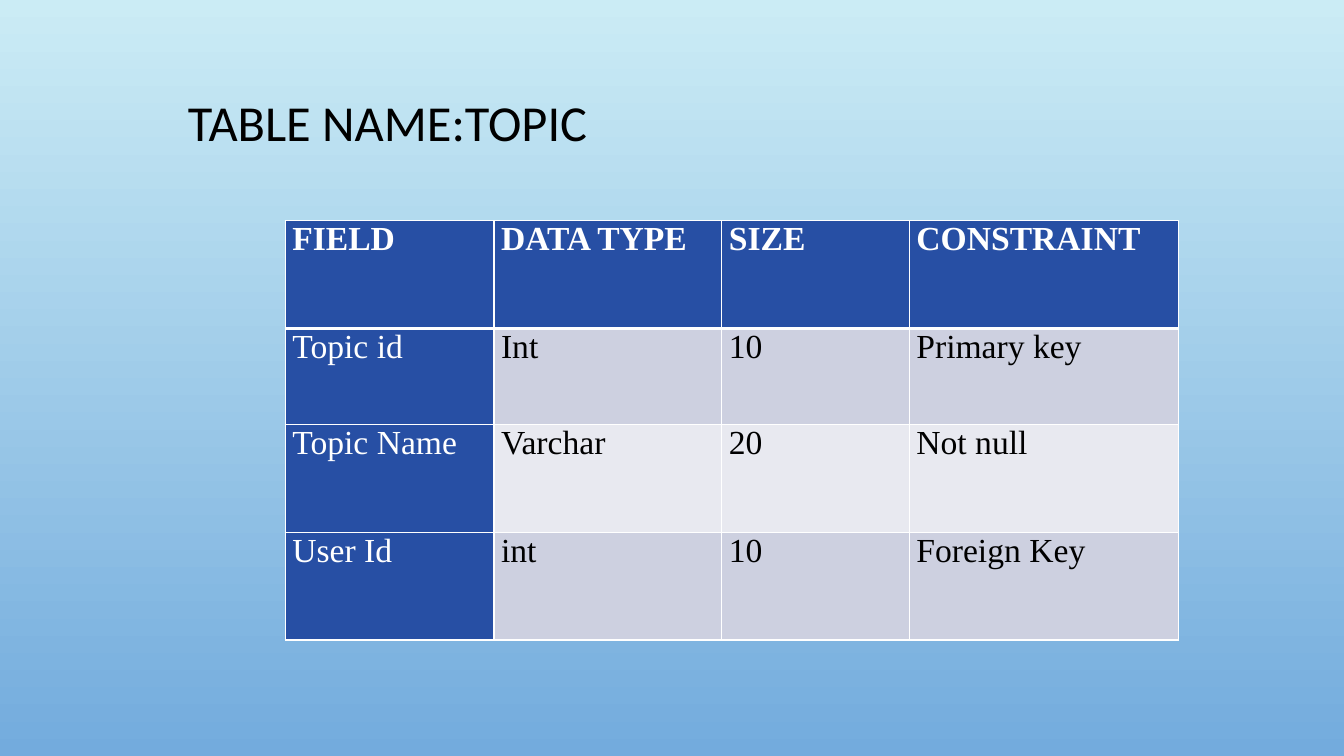
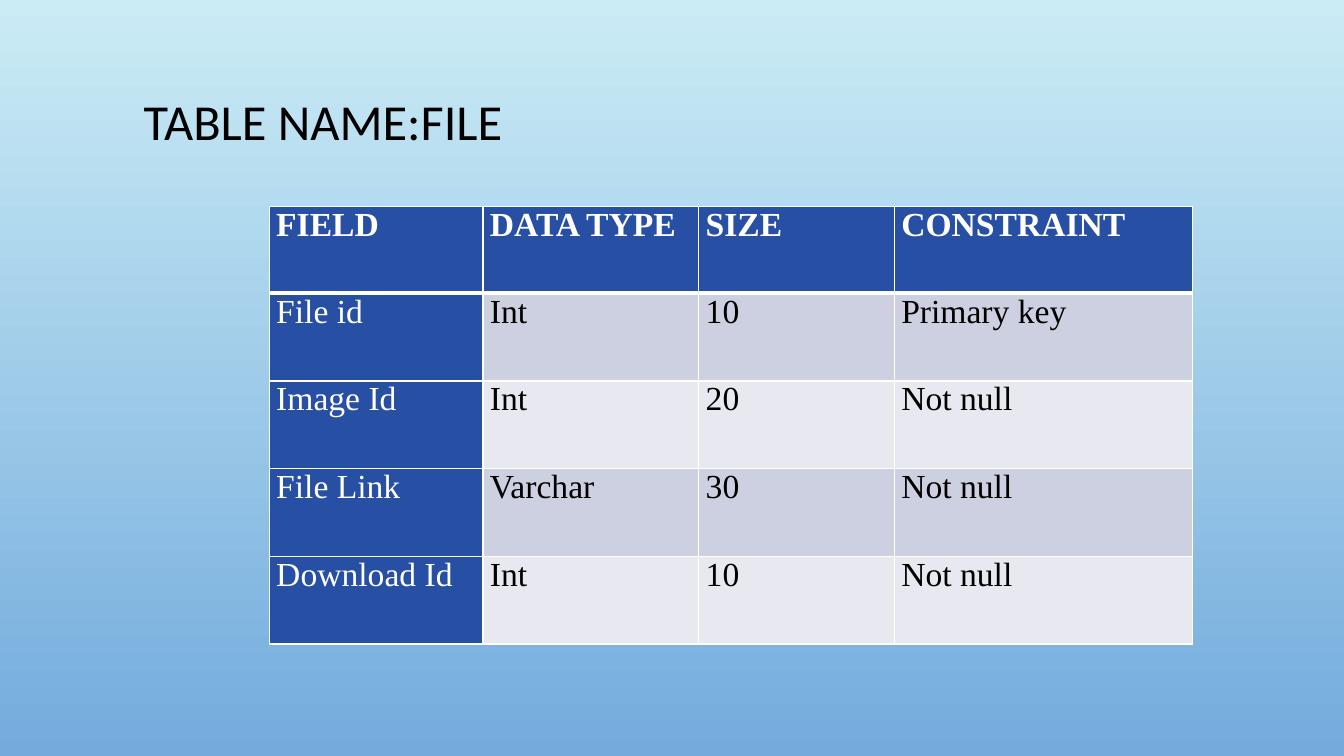
from lxml import etree
from pptx import Presentation
from pptx.dml.color import RGBColor
from pptx.enum.text import MSO_ANCHOR, PP_ALIGN
from pptx.oxml.ns import qn
from pptx.util import Inches, Pt

COLORS = {
    "sky_top": "CBECF5", "sky_bottom": "73ABDD", "header": "274FA4",
    "band_dark": "CDD0E0", "band_light": "E8E9F0",
    "white": "FFFFFF", "black": "000000",
}
TITLE_FONT = {"name": "Calibri", "size": Pt(36)}
TABLE_FONT = {"name": "Times New Roman", "size": Pt(24)}
TITLE_SIZE = (9.75, 1.4)
CELL_MARGINS = {"margin_left": 0.07, "margin_right": 0.07,
                "margin_top": 0, "margin_bottom": 0}
THIN, THICK = 1, 3
HEADER = ("FIELD", "DATA TYPE", "SIZE", "CONSTRAINT")

SLIDES = [
    {
        "title": "TABLE NAME:TOPIC", "title_at": (-1.03, 0.54),
        "table_at": (2.83, 2.19),
        "cols": (2.07, 2.26, 1.86, 2.67), "rows": (1.07, 0.95, 1.07, 1.07),
        "fields": [
            ("Topic id", "Int", "10", "Primary key"),
            ("Topic Name", "Varchar", "20", "Not null"),
            ("User Id", "int", "10", "Foreign Key"),
        ],
    },
    {
        "title": "TABLE NAME:FILE", "title_at": (-1.67, 0.53),
        "table_at": (2.67, 2.05),
        "cols": (2.12, 2.14, 1.94, 2.96), "rows": (0.86,) + (0.87,) * 4,
        "fields": [
            ("File id", "Int", "10", "Primary key"),
            ("Image Id", "Int", "20", "Not null"),
            ("File Link", "Varchar", "30", "Not null"),
            ("Download Id", "Int", "10", "Not null"),
        ],
    },
]


def rgb(name):
    return RGBColor.from_string(COLORS[name])


def set_font(font, style, color, bold=False):
    for key, value in style.items():
        setattr(font, key, value)
    font.bold = bold
    font.color.rgb = rgb(color)


def set_background(master):
    fill = master.background.fill
    fill.gradient()
    fill.gradient_angle = 270
    for stop, position, color in zip(fill.gradient_stops, (0, 1),
                                     ("sky_top", "sky_bottom")):
        stop.position = position
        stop.color.rgb = rgb(color)


def set_borders(cell, top, bottom):
    """Draw white cell edges; the line elements must precede the fill."""
    tc_pr = cell._tc.get_or_add_tcPr()
    widths = {"a:lnL": THIN, "a:lnR": THIN, "a:lnT": top, "a:lnB": bottom}
    for i, (tag, width) in enumerate(widths.items()):
        ln = etree.Element(qn(tag), w=str(Pt(width)))
        solid = etree.SubElement(ln, qn("a:solidFill"))
        etree.SubElement(solid, qn("a:srgbClr"), val=COLORS["white"])
        tc_pr.insert(i, ln)


def add_title(s, text, at):
    title = s.shapes.title
    title.left, title.top, title.width, title.height = map(
        Inches, at + TITLE_SIZE)
    tf = title.text_frame
    tf.text = text
    tf.word_wrap = True
    tf.vertical_anchor = MSO_ANCHOR.MIDDLE
    p = tf.paragraphs[0]
    p.alignment = PP_ALIGN.CENTER
    p.line_spacing = 0.9
    set_font(p.runs[0].font, TITLE_FONT, "black")


def format_cell(cell, text, row, col):
    is_header = row == 0
    is_blue = is_header or col == 0
    band = "band_dark" if row % 2 else "band_light"
    cell.text = text
    for key, value in CELL_MARGINS.items():
        setattr(cell, key, Inches(value))
    cell.fill.solid()
    cell.fill.fore_color.rgb = rgb("header" if is_blue else band)
    set_borders(cell, THICK if row == 1 else THIN,
                THICK if is_header else THIN)
    r = cell.text_frame.paragraphs[0].runs[0]
    set_font(r.font, TABLE_FONT, "white" if is_blue else "black", is_header)


def add_field_table(s, at, cols, rows, fields):
    box = map(Inches, at + (sum(cols), sum(rows)))
    table = s.shapes.add_table(len(rows), len(cols), *box).table
    table.first_col = True
    for column, width in zip(table.columns, cols):
        column.width = Inches(width)
    for row, height in zip(table.rows, rows):
        row.height = Inches(height)
    for i, values in enumerate([HEADER] + fields):
        for j, text in enumerate(values):
            format_cell(table.cell(i, j), text, i, j)


def main():
    prs = Presentation()
    prs.slide_width, prs.slide_height = Inches(13.33), Inches(7.5)
    set_background(prs.slide_master)
    title_only = prs.slide_layouts[5]
    for content in SLIDES:
        s = prs.slides.add_slide(title_only)
        add_title(s, content["title"], content["title_at"])
        add_field_table(s, content["table_at"], content["cols"],
                        content["rows"], content["fields"])
    prs.save("out.pptx")


if __name__ == "__main__":
    main()
